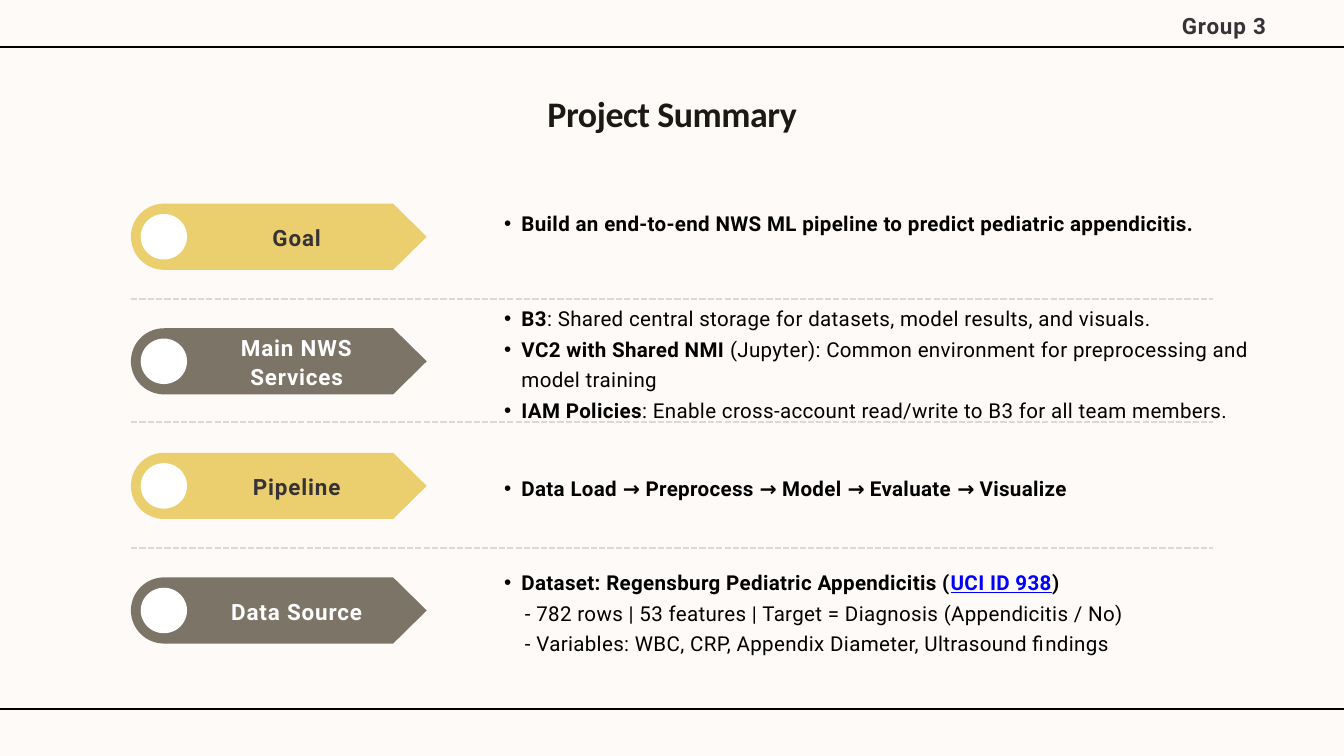
from math import cos, pi, sin

from lxml import etree
from pptx import Presentation
from pptx.dml.color import RGBColor
from pptx.enum.dml import MSO_LINE
from pptx.enum.shapes import MSO_CONNECTOR, MSO_SHAPE
from pptx.enum.text import MSO_ANCHOR, MSO_AUTO_SIZE, PP_ALIGN
from pptx.oxml.ns import qn
from pptx.util import Cm, Pt

LINE, OVAL, DASH = MSO_CONNECTOR.STRAIGHT, MSO_SHAPE.OVAL, MSO_LINE.SQUARE_DOT
TOP, MIDDLE, FIXED = MSO_ANCHOR.TOP, MSO_ANCHOR.MIDDLE, MSO_AUTO_SIZE.NONE
LEFT, CENTER = PP_ALIGN.LEFT, PP_ALIGN.CENTER

COLORS = {"paper": "FDFAF7", "title": "1C1814", "black": "000000", "white": "FFFFFF",
          "gold": "EBCF6E", "taupe": "7D7468", "dark": "363336", "rule": "D9D9D9",
          "link": "0000FF"}

# Content: each line is (bulleted, runs), each run is (text, style)
TITLE = "Project Summary"
GROUP = "Group 3"
ROWS = [
    {"label": "Goal", "box": (7.75, 27.46, 2.21), "lines": [
        (True, [("Build an end-to-end NWS ML pipeline to predict pediatric appendicitis.", "bold")])]},
    {"label": "Main NWS Services", "box": (11.33, 30.23, 4.47), "lines": [
        (True, [("B3", "bold"),
                (": Shared central storage for datasets, model results, and visuals.", "plain")]),
        (True, [("VC2 with Shared NMI ", "bold"),
                ("(Jupyter): Common environment for preprocessing and model training", "plain")]),
        (True, [("IAM Policies", "bold"),
                (": Enable cross-account read/write to B3 for all team members.", "plain")])]},
    {"label": "Pipeline", "box": (17.75, 27.46, 1.07), "lines": [
        (True, [("Data Load → Preprocess → Model → Evaluate → Visualize", "bold")])]},
    {"label": "Data Source", "box": (21.31, 27.46, 3.33), "lines": [
        (True, [("Dataset: Regensburg Pediatric Appendicitis (", "bold"),
                ("UCI ID 938", "link"), (")", "bold")]),
        (False, [("- 782 rows | 53 features | Target = Diagnosis (Appendicitis / No)", "plain")]),
        (False, [("- Variables: WBC, CRP, Appendix Diameter, Ultrasound findings", "plain")])]},
]
TINTS = [("gold", "dark"), ("taupe", "white")]

# Layout in centimetres
WIDE, HIGH = 50.8, 28.58
EDGE, RIGHT = 4.95, 45.85
FIRST, PITCH = 7.7, 4.71
NECK, TIP, TALL = 14.86, 16.13, 2.5
BODY = 18.39


def rgb(name):
    return RGBColor.from_string(COLORS[name])


def place(shape, x, y, w, h):
    shape.left, shape.top, shape.width, shape.height = Cm(x), Cm(y), Cm(w), Cm(h)


def setup(shape, anchor):
    frame = shape.text_frame
    frame.word_wrap, frame.auto_size = True, FIXED
    frame.vertical_anchor = anchor
    frame.margin_left = frame.margin_right = frame.margin_top = frame.margin_bottom = 0
    return frame


def space(para, align, pitch):
    para.alignment, para.line_spacing = align, Pt(pitch)
    para.space_before = para.space_after = Pt(0)


def write(para, text, face, size, color, bold, track):
    run = para.add_run()
    run.text = text
    font = run.font
    font.name, font.size, font.bold = face, Pt(size), bold
    font.color.rgb = rgb(color)
    run._r.get_or_add_rPr().set("spc", str(round(track * 100)))
    return font


def indent(para, bullet):
    props = para._p.get_or_add_pPr()
    left, hang = (1.32, -0.66) if bullet else (1.45, 0)
    props.set("marL", str(Cm(left)))
    props.set("indent", str(Cm(hang)))
    if bullet:
        etree.SubElement(props, qn("a:buFont")).set("typeface", "Arial")
        etree.SubElement(props, qn("a:buChar")).set("char", "•")
    else:
        etree.SubElement(props, qn("a:buNone"))


def rule(x1, x2, y, color, width, dash=None):
    line = slide.shapes.add_connector(LINE, Cm(x1), Cm(y), Cm(x2), Cm(y))
    line.line.color.rgb, line.line.width = rgb(color), Pt(width)
    if dash:
        line.line.dash_style = dash
    etree.SubElement(line._element.spPr, qn("a:effectLst"))


def paint(shape, color):
    shape.shadow.inherit = False
    shape.fill.solid()
    shape.fill.fore_color.rgb = rgb(color)
    shape.line.fill.background()


def label(shapes, text, x, y, h, color):
    box = shapes.add_textbox(Cm(x), Cm(y), Cm(7.29), Cm(h))
    para = setup(box, MIDDLE).paragraphs[0]
    space(para, CENTER, 31)
    write(para, text, "Roboto", 24, color, True, 0.9)


def banner(text, y, fill, ink):
    shapes = slide.shapes.add_group_shape().shapes
    r = TALL / 2
    turns = [pi / 2 + pi * i / 40 for i in range(41)]
    curve = [(EDGE + r + r * cos(t), y + r - r * sin(t)) for t in turns]
    points = curve + [(NECK, y + TALL), (TIP, y + r), (NECK, y)]
    points = [(Cm(px), Cm(py)) for px, py in points]
    path = shapes.build_freeform(*points[0])
    path.add_line_segments(points[1:], close=True)
    paint(path.convert_to_shape(), fill)
    dot = shapes.add_shape(OVAL, Cm(EDGE + 0.37), Cm(y + 0.39), Cm(1.75), Cm(1.72))
    paint(dot, "white")
    label(shapes, text, 7.57, y, TALL, ink)


deck = Presentation()
deck.slide_width, deck.slide_height = Cm(WIDE), Cm(HIGH)
# The Comparison layout holds a title and four body placeholders
slide = deck.slides.add_slide(deck.slide_layouts[4])
slide.background.fill.solid()
slide.background.fill.fore_color.rgb = rgb("paper")

# Title and frame lines
head = slide.shapes.title
place(head, 9.47, 3.43, 31.88, 1.63)
para = setup(head, TOP).paragraphs[0]
space(para, CENTER, 47.4)
write(para, TITLE, "Calibri", 38.5, "title", True, -0.5)
for y in (1.78, 26.8):
    rule(0, WIDE, y, "black", 3)

# Summary lists
for row, hold in zip(ROWS, list(slide.placeholders)[1:]):
    y, w, h = row["box"]
    place(hold, BODY, y, w, h)
    frame = setup(hold, TOP)
    for i, (bullet, runs) in enumerate(row["lines"]):
        para = frame.add_paragraph() if i else frame.paragraphs[0]
        indent(para, bullet)
        space(para, LEFT, 33)
        for text, style in runs:
            link = style == "link"
            font = write(para, text, "Roboto", 22, "link" if link else "black",
                         style != "plain", 0.4)
            if link:
                font.underline = True

# Banners and the dashed rules between them
for i, row in enumerate(ROWS):
    banner(row["label"], FIRST + i * PITCH, *TINTS[i % 2])
for y in (11.3, 15.95, 20.73):
    rule(EDGE, RIGHT, y, "rule", 2.25, DASH)

label(slide.shapes, GROUP, 42.62, 0.41, 1.07, "dark")

deck.save("out.pptx")
